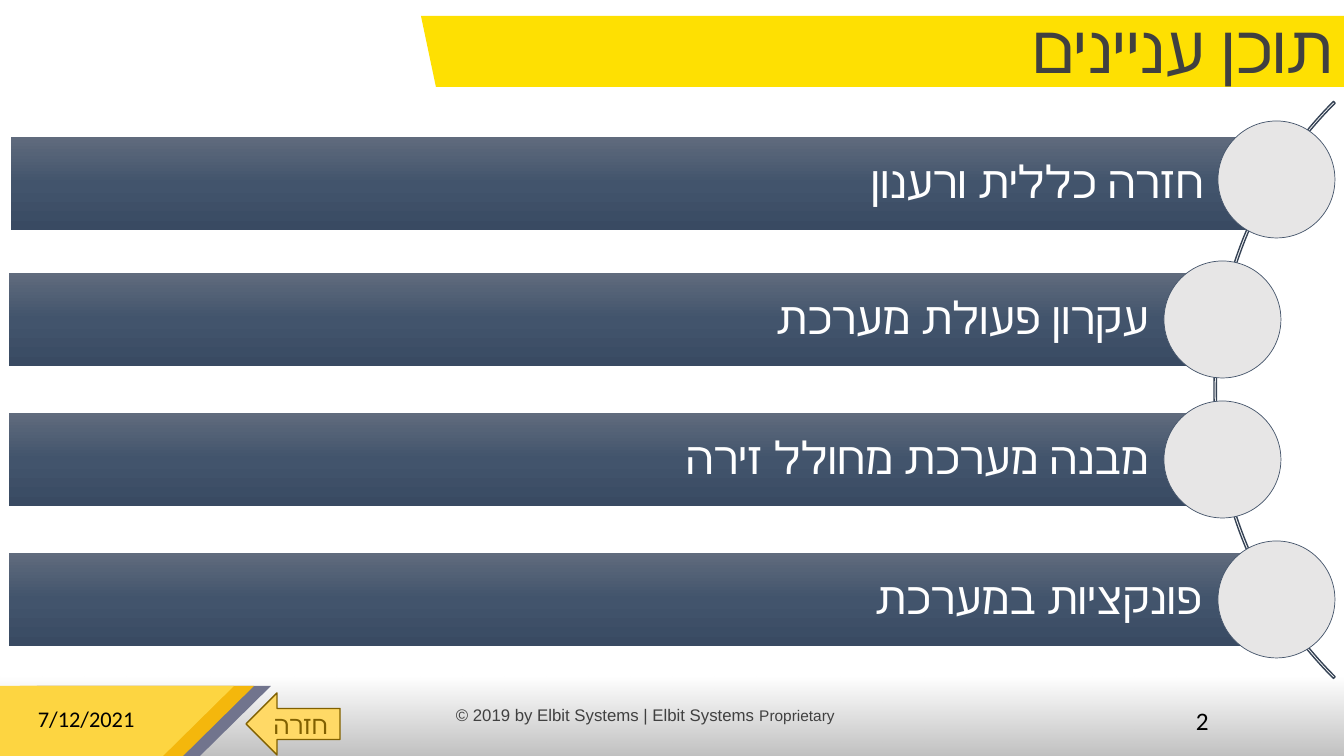
"""Build the Hebrew table-of-contents slide with its curved list of topics."""
import lxml.etree
import pptx
import pptx.dml.color
import pptx.enum.shapes
import pptx.enum.text
import pptx.oxml
import pptx.oxml.ns
import pptx.util

EMU_PER_PX = 914400 / 100.8
SHAPES = pptx.enum.shapes.MSO_SHAPE
ALIGN = pptx.enum.text.PP_ALIGN
ANCHOR = pptx.enum.text.MSO_ANCHOR

BAR_STOPS = [(0, "606B7D", 100), (50, "42546C", 100), (100, "394A62", 100)]
FOOTER_STOPS = [(0, "000000", 25), (100, "0D0D0D", 0)]
STRIPES = [(37, "71748D"), (20, "F4B70C"), (0, "FDD541")]
TOPICS = [
    ("חזרה כללית ורענון", 11, 137, 1267, 1218),
    ("עקרון פעולת מערכת", 9, 273, 1214, 1164),
    ("מבנה מערכת מחולל זירה", 9, 413, 1214, 1164),
    ("פונקציות במערכת", 9, 553, 1267, 1218),
]
FIRST_CIRCLE_TOP = 121
CIRCLE_STEP = 140
CIRCLE_SIZE = 117


def px(length):
    return pptx.util.Emu(round(length * EMU_PER_PX))


def color(hex_string):
    return pptx.dml.color.RGBColor.from_string(hex_string)


def style_shape(shape, fill=None, line=None, line_width=1):
    shape.shadow.inherit = False
    if fill:
        shape.fill.solid()
        shape.fill.fore_color.rgb = color(fill)
    else:
        shape.fill.background()
    if line:
        shape.line.color.rgb = color(line)
        shape.line.width = pptx.util.Pt(line_width)
    else:
        shape.line.fill.background()


def add_preset(slide, preset, box, fill=None, line=None, line_width=1):
    shape = slide.shapes.add_shape(preset, *map(px, box))
    style_shape(shape, fill, line, line_width)
    return shape


def add_outline(slide, points, fill):
    builder = slide.shapes.build_freeform(*points[0], scale=EMU_PER_PX)
    builder.add_line_segments(points[1:], close=True)
    style_shape(builder.convert_to_shape(), fill)


def set_gradient(shape, stops, angle):
    shape.fill.gradient()
    shape.fill.gradient_angle = 360 - angle
    stop_list = shape.element.spPr.find(".//" + pptx.oxml.ns.qn("a:gsLst"))
    for old_stop in list(stop_list):
        stop_list.remove(old_stop)
    for position, hex_string, opacity in stops:
        stop = lxml.etree.SubElement(
            stop_list, pptx.oxml.ns.qn("a:gs"), pos=str(position * 1000))
        stop_color = lxml.etree.SubElement(
            stop, pptx.oxml.ns.qn("a:srgbClr"), val=hex_string)
        lxml.etree.SubElement(
            stop_color, pptx.oxml.ns.qn("a:alpha"), val=str(opacity * 1000))


def set_margins(text_frame, left, top, right, bottom):
    text_frame.margin_left, text_frame.margin_top = px(left), px(top)
    text_frame.margin_right, text_frame.margin_bottom = px(right), px(bottom)


def write_text(shape, text, size, hex_string, alignment, anchor, font="Calibri"):
    text_frame = shape.text_frame
    text_frame.word_wrap = True
    text_frame.vertical_anchor = anchor
    paragraph = text_frame.paragraphs[0]
    paragraph.text = text
    paragraph.alignment = alignment
    paragraph.font.name = font
    paragraph.font.size = pptx.util.Pt(size)
    paragraph.font.color.rgb = color(hex_string)
    return paragraph


def add_label(slide, box, text, size, hex_string, font="Calibri"):
    label = slide.shapes.add_textbox(*map(px, box))
    return write_text(label, text, size, hex_string, ALIGN.LEFT, ANCHOR.TOP, font)


def add_footer(slide):
    band = add_preset(slide, SHAPES.RECTANGLE, (0, 677, 1344, 79), "000000")
    set_gradient(band, FOOTER_STOPS, 270)
    for left, fill in STRIPES:
        add_outline(slide, [(left, 686), (left + 234, 686),
                            (left + 163, 756), (left, 756)], fill)
    add_label(slide, (28, 700, 144, 40), "7/12/2021", 16, "000000")
    notice = add_label(slide, (446, 700, 454, 40),
                       "© 2019 by Elbit Systems | Elbit Systems ", 12, "404040", "Arial")
    ending = notice.add_run()
    ending.text = "Proprietary"
    ending.font.size = pptx.util.Pt(11)
    add_label(slide, (1186, 700, 108, 40), "2", 18, "000000")


def add_title(slide, text):
    add_outline(slide, [(421, 16), (1347, 16), (1346, 87), (436, 87)], "FEE002")
    title = slide.shapes.title
    title.left, title.top, title.width, title.height = map(px, (433, 16, 910, 71))
    paragraph = write_text(title, text, 48, "404040", ALIGN.RIGHT, ANCHOR.MIDDLE)
    paragraph.line_spacing = 0.9
    paragraph._p.get_or_add_pPr().set("rtl", "1")
    slide.shapes._spTree.append(title.element)


def add_back_arrow(slide):
    arrow = add_preset(slide, SHAPES.LEFT_ARROW, (246, 693, 94, 62), "FFD966", "806000")
    set_margins(arrow.text_frame, 0, 0, 0, 0)
    write_text(arrow, "חזרה", 18, "806000", ALIGN.CENTER, ANCHOR.MIDDLE)


def add_topics(slide):
    arc = add_preset(slide, SHAPES.BLOCK_ARC, (1214, -18, 816, 816), line="364355")
    for index, value in enumerate((81, 135, 0.003)):
        arc.adjustments[index] = value
    for index, (text, left, top, width, circle_left) in enumerate(TOPICS):
        bar = add_preset(slide, SHAPES.RECTANGLE, (left, top, width, 93))
        set_gradient(bar, BAR_STOPS, 90)
        set_margins(bar.text_frame, 9, 9, 74, 9)
        paragraph = write_text(bar, text, 32, "FFFFFF", ALIGN.RIGHT, ANCHOR.MIDDLE)
        paragraph.line_spacing = 0.9
        circle_top = FIRST_CIRCLE_TOP + index * CIRCLE_STEP
        add_preset(slide, SHAPES.OVAL, (circle_left, circle_top, CIRCLE_SIZE, CIRCLE_SIZE),
                   "E7E6E6", "44546A", 0.5)


def main():
    presentation = pptx.Presentation()
    presentation.slide_width, presentation.slide_height = px(1344), px(756)
    slide = presentation.slides.add_slide(presentation.slide_layouts[5])
    add_footer(slide)
    add_title(slide, "תוכן עניינים")
    add_back_arrow(slide)
    add_topics(slide)
    presentation.save("out.pptx")


if __name__ == "__main__":
    main()
